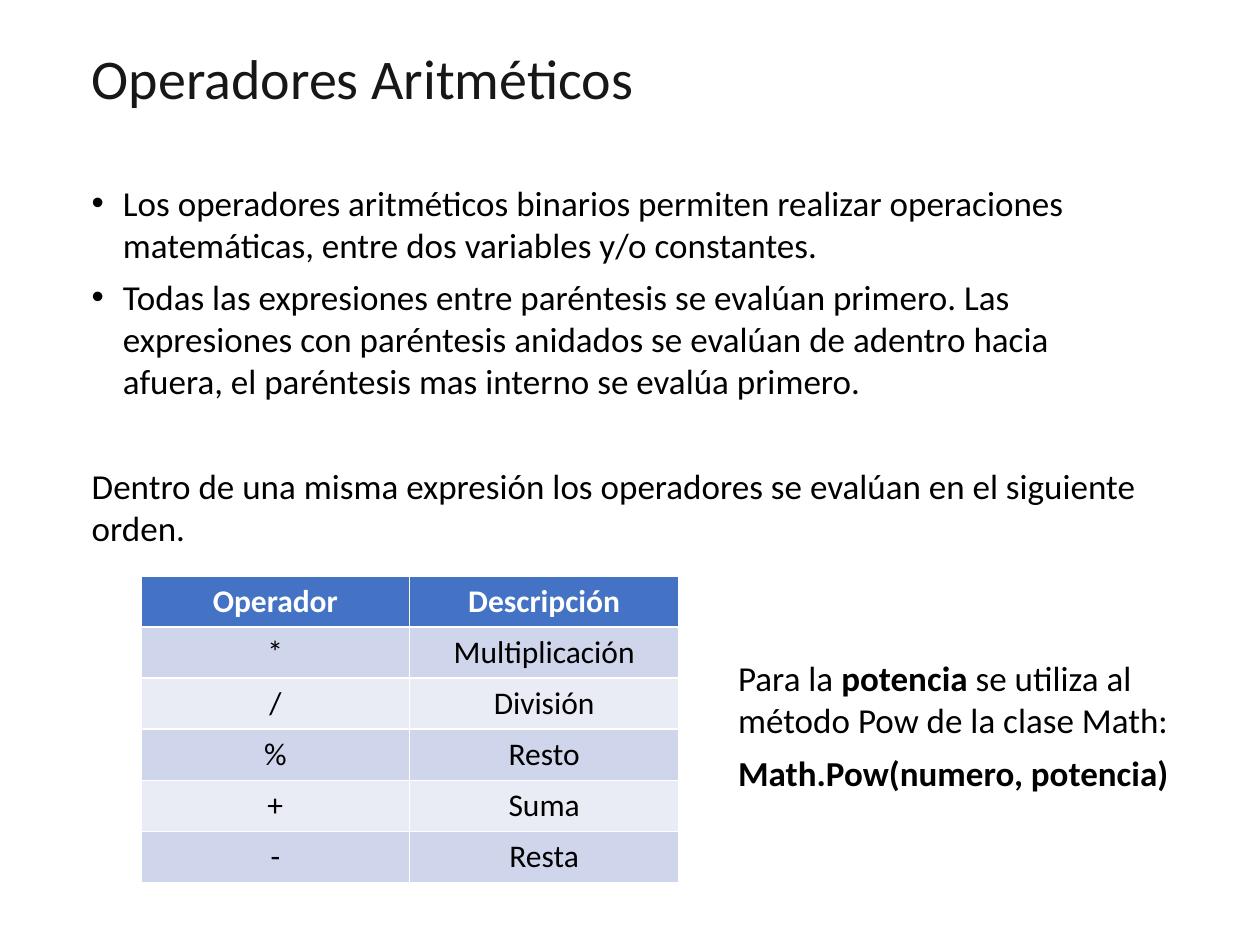
from dataclasses import dataclass

from lxml import etree
from pptx import Presentation
from pptx import util as u
from pptx.dml.color import RGBColor
from pptx.enum import text
from pptx.oxml.ns import qn


@dataclass(frozen=True)
class Theme:
    font: str = "Calibri"
    title_size: int = 32
    body_size: int = 20
    table_size: int = 18
    title: str = "181717"
    ink: str = "000000"
    white: str = "FFFFFF"
    header: str = "4472C4"
    bands: tuple = ("CFD5EA", "E9EBF5")
    para_gap: int = 6
    section_gap: int = 36
    indent: float = 0.63


THEME = Theme()

OPERATORS = [
    ("Operador", "Descripción"),
    ("*", "Multiplicación"),
    ("/", "División"),
    ("%", "Resto"),
    ("+", "Suma"),
    ("-", "Resta"),
]


def add_run(p, words, size=THEME.body_size, color=THEME.ink, bold=False):
    r = p.add_run()
    r.text = words
    f = r.font
    f.name, f.size, f.bold = THEME.font, u.Pt(size), bold
    f.color.rgb = RGBColor.from_string(color)


def add_bullet(p):
    pPr = p._p.get_or_add_pPr()
    indent = u.Cm(THEME.indent)
    pPr.set("marL", str(indent))
    pPr.set("indent", str(-indent))
    etree.SubElement(pPr, qn("a:buFont")).set("typeface", "Arial")
    etree.SubElement(pPr, qn("a:buChar")).set("char", "•")


def add_box(s, box, wrap=True):
    tf = s.shapes.add_textbox(*map(u.Cm, box)).text_frame
    tf.word_wrap = wrap
    return tf


def add_paragraph(tf, *runs, bullet=False, gap=THEME.para_gap):
    """Each run is a (words, bold) pair."""
    first = tf.paragraphs[0]
    p = tf.add_paragraph() if first.runs else first
    p.space_before = u.Pt(gap)
    if bullet:
        add_bullet(p)
    for words, bold in runs:
        add_run(p, words, bold=bold)


def add_title(s, box):
    tf = add_box(s, box, wrap=False)
    tf.auto_size = text.MSO_AUTO_SIZE.SHAPE_TO_FIT_TEXT
    add_run(tf.paragraphs[0], "Operadores Aritméticos", THEME.title_size, THEME.title)


def add_rules(s, box):
    tf = add_box(s, box)
    for words in (
        "Los operadores aritméticos binarios permiten realizar operaciones "
        "matemáticas, entre dos variables y/o constantes.",
        "Todas las expresiones entre paréntesis se evalúan primero. Las "
        "expresiones con paréntesis anidados se evalúan de adentro hacia "
        "afuera, el paréntesis mas interno se evalúa primero.",
    ):
        add_paragraph(tf, (words, False), bullet=True)
    add_paragraph(
        tf,
        ("Dentro de una misma expresión los operadores se evalúan en el "
         "siguiente orden.", False),
        gap=THEME.section_gap,
    )


def add_operator_table(s, box):
    # The default table style supplies the white cell borders
    table = s.shapes.add_table(
        len(OPERATORS), len(OPERATORS[0]), *map(u.Cm, box)).table
    for i, row in enumerate(OPERATORS):
        header = i == 0
        fill = THEME.header if header else THEME.bands[(i - 1) % 2]
        color = THEME.white if header else THEME.ink
        for j, words in enumerate(row):
            cell = table.cell(i, j)
            cell.fill.solid()
            cell.fill.fore_color.rgb = RGBColor.from_string(fill)
            p = cell.text_frame.paragraphs[0]
            p.alignment = text.PP_ALIGN.CENTER
            add_run(p, words, THEME.table_size, color, header)


def add_power_note(s, box):
    tf = add_box(s, box)
    add_paragraph(tf, ("Para la ", False), ("potencia", True),
                  (" se utiliza al método Pow de la clase Math:", False))
    add_paragraph(tf, ("Math.Pow(numero, potencia)", True))


def main():
    prs = Presentation()
    prs.slide_width, prs.slide_height = u.Cm(25.4), u.Cm(19.05)
    s = prs.slides.add_slide(prs.slide_layouts[6])

    # Boxes are left, top, width, height in cm
    add_title(s, (1.6, 0.76, 11.56, 1.63))
    add_rules(s, (1.6, 3.53, 21.69, 7.65))
    add_operator_table(s, (2.84, 11.61, 10.84, 6.18))
    add_power_note(s, (14.63, 13.11, 9.53, 3.18))

    prs.save("out.pptx")


if __name__ == "__main__":
    main()
